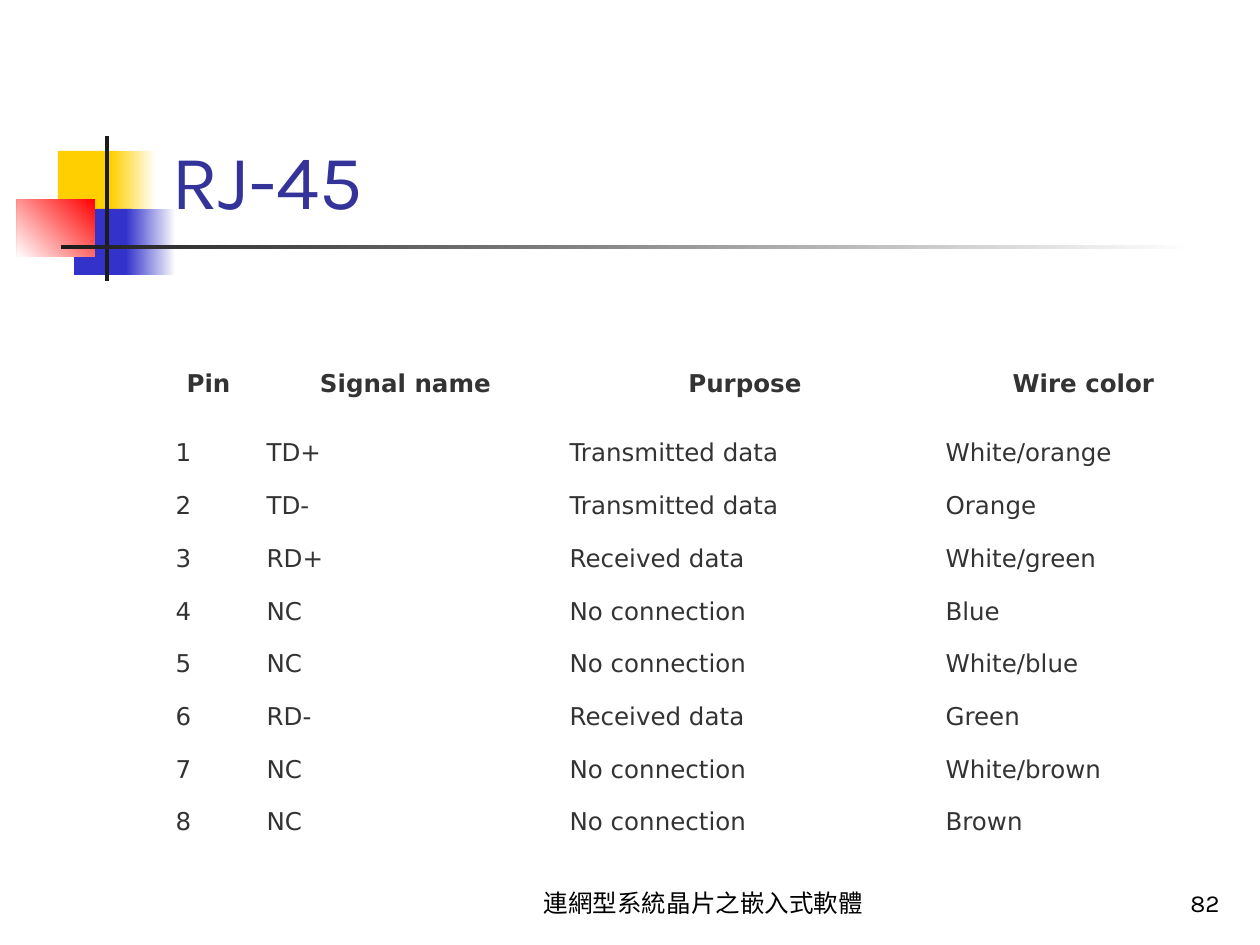
import pptx
import pptx.dml.color
import pptx.enum.shapes
import pptx.enum.text
import pptx.util
from typing import NamedTuple, Optional

PX_PER_INCH = 126
COLORS = {
    "white": "FFFFFF", "yellow": "FFCF01", "blue": "3333CC", "red": "FF0000",
    "ink": "1C1C1C", "title": "333399", "table": "333333", "footer": "000000",
}
ALIGN = pptx.enum.text.PP_ALIGN
ANCHOR = pptx.enum.text.MSO_ANCHOR


class Block(NamedTuple):
    """A rectangle in px; with an end colour it fades from color to end."""
    x: int
    y: int
    w: int
    h: int
    color: str
    end: Optional[str] = None
    angle: int = 180


class Footer(NamedTuple):
    x: int
    w: int
    text: str
    align: ALIGN


BLOCKS = [
    Block(58, 151, 60, 66, "yellow"),
    Block(111, 151, 45, 66, "white", "yellow"),
    Block(74, 209, 58, 66, "blue"),
    Block(126, 209, 50, 66, "white", "blue"),
    Block(17, 199, 78, 58, "red", "white", 225),
    Block(105, 136, 4, 145, "ink"),
    Block(61, 245, 1134, 4, "white", "ink"),
]
HEADER = ("Pin", "Signal name", "Purpose", "Wire color")
PINS = [
    ("1", "TD+", "Transmitted data", "White/orange"),
    ("2", "TD-", "Transmitted data", "Orange"),
    ("3", "RD+", "Received data", "White/green"),
    ("4", "NC", "No connection", "Blue"),
    ("5", "NC", "No connection", "White/blue"),
    ("6", "RD-", "Received data", "Green"),
    ("7", "NC", "No connection", "White/brown"),
    ("8", "NC", "No connection", "Brown"),
]
COLUMN_WIDTHS = (91, 303, 376, 301)
TABLE_HEIGHT, TOP_ROW, HEADER_ROW = 571, 63, 86
HANGING = 48
FOOTERS = [
    Footer(504, 399, "連網型系統晶片之嵌入式軟體", ALIGN.CENTER),
    Footer(970, 262, "82", ALIGN.RIGHT),
]


def px(n: float) -> pptx.util.Emu:
    return pptx.util.Emu(round(n * 914400 / PX_PER_INCH))


def rgb(name: str) -> pptx.dml.color.RGBColor:
    return pptx.dml.color.RGBColor.from_string(COLORS[name])


def add_run(p, text: str, size: int, font: str, color: str, bold: bool = False) -> None:
    r = p.add_run()
    r.text = text
    r.font.size = pptx.util.Pt(size)
    r.font.name = font
    r.font.bold = bold
    r.font.color.rgb = rgb(color)


def draw_block(slide, block: Block) -> None:
    s = slide.shapes.add_shape(pptx.enum.shapes.MSO_SHAPE.RECTANGLE,
                               px(block.x), px(block.y), px(block.w), px(block.h))
    s.shadow.inherit = False
    s.line.fill.background()
    if block.end is None:
        s.fill.solid()
        s.fill.fore_color.rgb = rgb(block.color)
        return
    s.fill.gradient()
    s.fill.gradient_angle = block.angle
    for stop, color in zip(s.fill.gradient_stops, (block.color, block.end)):
        stop.color.rgb = rgb(color)


def draw_title(slide, text: str) -> None:
    title = slide.shapes.title
    title.left, title.top, title.width, title.height = px(159), px(29), px(1074), px(202)
    slide.shapes._spTree.append(title._element)  # in front of the blocks
    tf = title.text_frame
    tf.auto_size = pptx.enum.text.MSO_AUTO_SIZE.NONE
    tf.vertical_anchor = ANCHOR.BOTTOM
    p = tf.paragraphs[0]
    p.alignment = ALIGN.LEFT
    add_run(p, text, 44, "Karla", "title")


def fill_cell(cell, text: str, header: bool) -> None:
    cell.vertical_anchor = ANCHOR.MIDDLE
    p = cell.text_frame.paragraphs[0]
    p.alignment = ALIGN.CENTER if header else ALIGN.LEFT
    props = p._p.get_or_add_pPr()
    props.set("marL", str(px(HANGING)))
    props.set("indent", str(-px(HANGING)))
    add_run(p, text, 14, "DejaVu Sans", "table", bold=header)


def draw_table(slide) -> None:
    rows = [HEADER, *PINS]
    table = slide.shapes.add_table(len(rows) + 1, len(HEADER), px(163), px(278),
                                   px(sum(COLUMN_WIDTHS)), px(TABLE_HEIGHT)).table
    table.first_row = table.horz_banding = False
    for column, width in zip(table.columns, COLUMN_WIDTHS):
        column.width = px(width)
    pin_row = (TABLE_HEIGHT - TOP_ROW - HEADER_ROW) / len(PINS)
    for row, height in zip(table.rows, [TOP_ROW, HEADER_ROW] + [pin_row] * len(PINS)):
        row.height = px(height)
    for cell in table.iter_cells():
        cell.fill.background()
    # The empty top row spans all columns
    table.cell(0, 0).merge(table.cell(0, len(HEADER) - 1))
    for i, row in enumerate(rows, start=1):
        for j, text in enumerate(row):
            fill_cell(table.cell(i, j), text, header=i == 1)


def draw_footer(slide, footer: Footer) -> None:
    s = slide.shapes.add_textbox(px(footer.x), px(861), px(footer.w), px(63))
    tf = s.text_frame
    tf.word_wrap = True
    tf.vertical_anchor = ANCHOR.BOTTOM
    p = tf.paragraphs[0]
    p.alignment = footer.align
    add_run(p, footer.text, 14, "Karla", "footer")


def main() -> None:
    prs = pptx.Presentation()
    prs.slide_width, prs.slide_height = px(1260), px(945)
    slide = prs.slides.add_slide(prs.slide_layouts[5])

    # Corner blocks and rules
    for block in BLOCKS:
        draw_block(slide, block)

    # Title and pin table
    draw_title(slide, "RJ-45")
    draw_table(slide)

    # Footer and slide number
    for footer in FOOTERS:
        draw_footer(slide, footer)

    prs.save("out.pptx")


if __name__ == "__main__":
    main()
